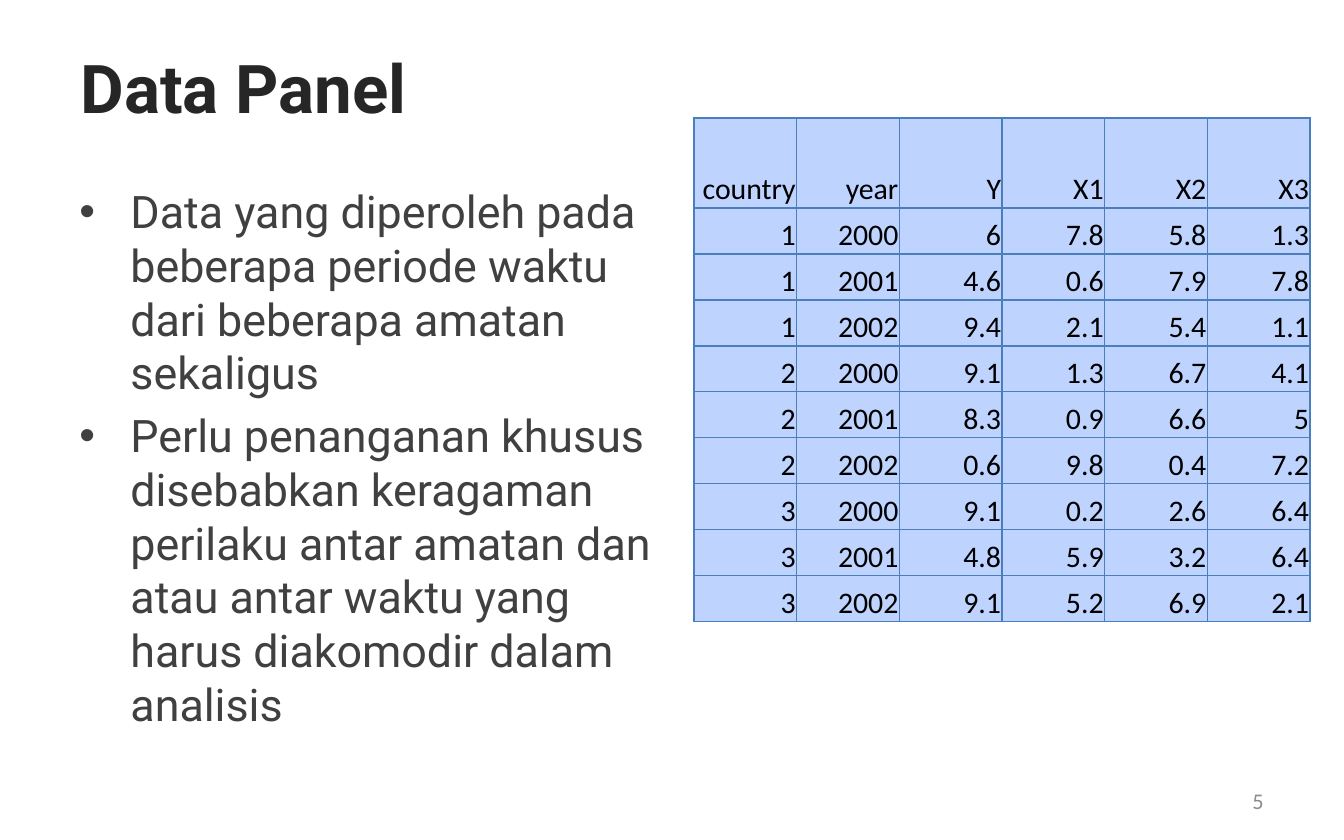
import pptx
import pptx.dml.color
import pptx.enum.text
import pptx.oxml
import pptx.oxml.ns
import pptx.util

# Content
TITLE = "Data Panel"
POINTS = [
    "Data yang diperoleh pada beberapa periode waktu dari beberapa amatan sekaligus",
    "Perlu penanganan khusus disebabkan keragaman perilaku antar amatan dan "
    "atau antar waktu yang harus diakomodir dalam analisis",
]
PAGE = "5"
HEADER = ["country", "year", "Y", "X1", "X2", "X3"]
ROWS = [
    [1, 2000, 6, 7.8, 5.8, 1.3],
    [1, 2001, 4.6, 0.6, 7.9, 7.8],
    [1, 2002, 9.4, 2.1, 5.4, 1.1],
    [2, 2000, 9.1, 1.3, 6.7, 4.1],
    [2, 2001, 8.3, 0.9, 6.6, 5],
    [2, 2002, 0.6, 9.8, 0.4, 7.2],
    [3, 2000, 9.1, 0.2, 2.6, 6.4],
    [3, 2001, 4.8, 5.9, 3.2, 6.4],
    [3, 2002, 9.1, 5.2, 6.9, 2.1],
]

# Formats
TITLE_FONT = {"name": "Roboto", "size": pptx.util.Pt(36), "bold": True}
BODY_FONT = {"name": "Roboto", "size": pptx.util.Pt(24), "bold": False}
PAGE_FONT = {"name": "Calibri", "size": pptx.util.Pt(12), "bold": False}
CELL_FONT = {"name": "Calibri", "size": pptx.util.Pt(16), "bold": False}
CELL_FILL, BORDER = "BFD3FF", "4B7EBC"
HEADER_H, ROW_H, TABLE_W = 90, 46, 616
INDENT = 51

ALIGN = pptx.enum.text.PP_ALIGN
ANCHOR = pptx.enum.text.MSO_ANCHOR


def px(n):
    return pptx.util.Emu(round(n * 914400 / 134.4))


def rgb(color):
    return pptx.dml.color.RGBColor.from_string(color)


def place(s, *box):
    s.left, s.top, s.width, s.height = map(px, box)


def write(p, text, font, color, align):
    p.alignment = align
    r = p.add_run()
    r.text = text
    for key, value in font.items():
        setattr(r.font, key, value)
    r.font.color.rgb = rgb(color)


def add_bullet(p):
    pPr = p._p.get_or_add_pPr()
    pPr.set("marL", str(px(INDENT)))
    pPr.set("indent", str(-px(INDENT)))
    ns = pptx.oxml.ns.nsdecls("a")
    pPr.append(pptx.oxml.parse_xml(f'<a:buFont {ns} typeface="Arial"/>'))
    pPr.append(pptx.oxml.parse_xml(f'<a:buChar {ns} char="•"/>'))


def add_borders(cell):
    tcPr = cell._tc.get_or_add_tcPr()
    for i, side in enumerate(("lnL", "lnR", "lnT", "lnB")):
        tcPr.insert(i, pptx.oxml.parse_xml(
            f'<a:{side} {pptx.oxml.ns.nsdecls("a")} w="{pptx.util.Pt(0.75)}">'
            f'<a:solidFill><a:srgbClr val="{BORDER}"/></a:solidFill></a:{side}>'))


prs = pptx.Presentation()
prs.slide_width, prs.slide_height = px(1344), px(840)
slide = prs.slides.add_slide(prs.slide_layouts[1])

# Title
s = slide.shapes.title
place(s, 67, 17, 1210, 140)
tf = s.text_frame
tf.vertical_anchor = ANCHOR.MIDDLE
write(tf.paragraphs[0], TITLE, TITLE_FONT, "262626", ALIGN.LEFT)

# Bulleted list
s = slide.placeholders[1]
place(s, 66, 177, 640, 554)
tf = s.text_frame
tf.auto_size = pptx.enum.text.MSO_AUTO_SIZE.NONE
for i, point in enumerate(POINTS):
    p = tf.add_paragraph() if i else tf.paragraphs[0]
    add_bullet(p)
    p.space_before = pptx.util.Pt(4.8 if i else 0)
    write(p, point, BODY_FONT, "404040", ALIGN.LEFT)

# Panel data table
grid = [HEADER] + ROWS
table = slide.shapes.add_table(
    len(grid), len(HEADER), px(694), px(118),
    px(TABLE_W), px(HEADER_H + ROW_H * len(ROWS))).table
table.first_row = table.horz_banding = False
for column in table.columns:
    column.width = px(TABLE_W / len(HEADER))
for i, values in enumerate(grid):
    table.rows[i].height = px(ROW_H if i else HEADER_H)
    for j, value in enumerate(values):
        cell = table.cell(i, j)
        cell.margin_left = cell.margin_right = cell.margin_top = px(1)
        cell.margin_bottom = 0
        cell.vertical_anchor = ANCHOR.BOTTOM
        cell.fill.solid()
        cell.fill.fore_color.rgb = rgb(CELL_FILL)
        add_borders(cell)
        write(cell.text_frame.paragraphs[0], str(value), CELL_FONT, "000000", ALIGN.RIGHT)

# Page number
s = slide.shapes.add_textbox(px(964), px(778), px(313), px(45))
tf = s.text_frame
tf.word_wrap = True
tf.vertical_anchor = ANCHOR.MIDDLE
write(tf.paragraphs[0], PAGE, PAGE_FONT, "8C8C8C", ALIGN.RIGHT)

prs.save("out.pptx")
